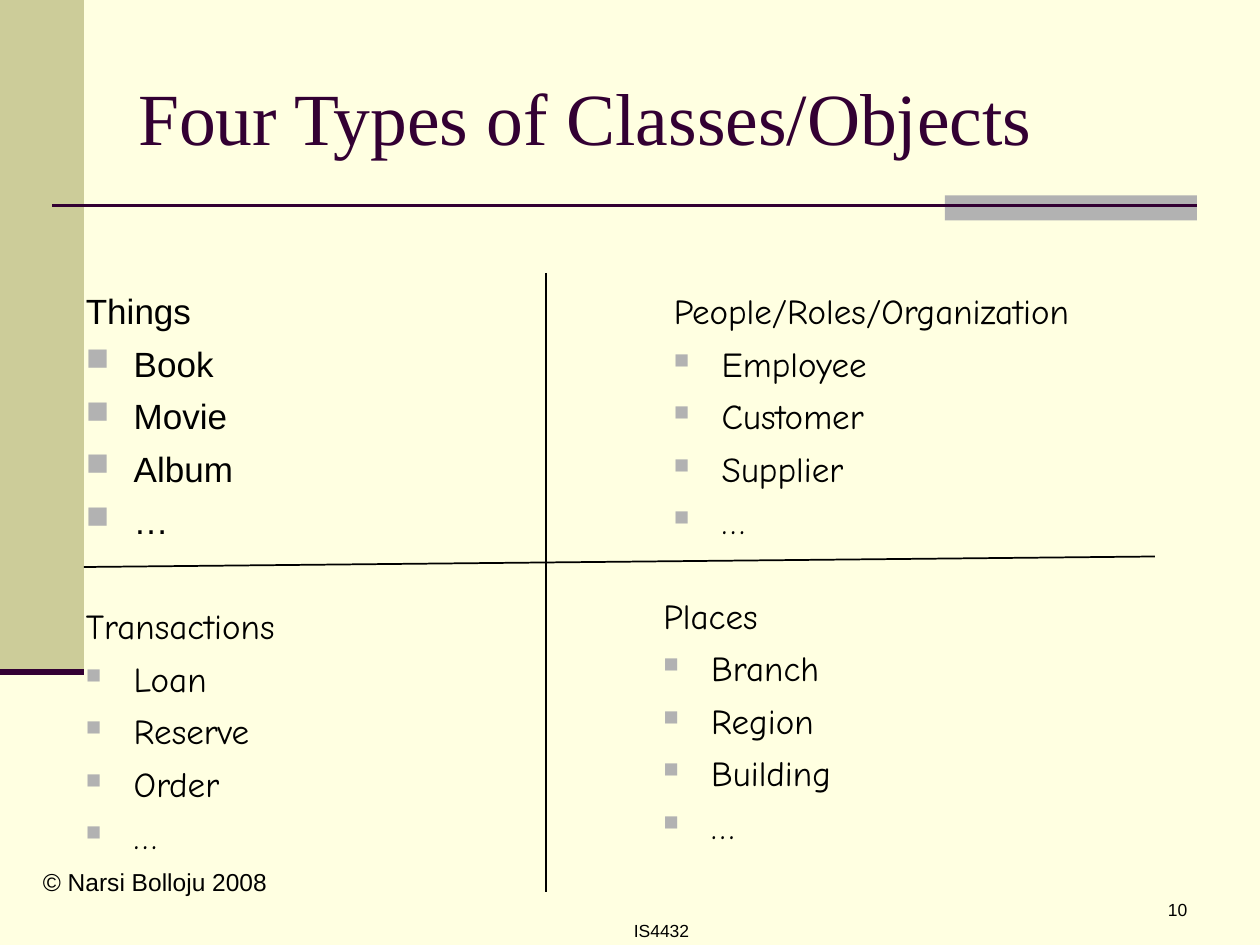
from pptx import Presentation
from pptx.dml.color import RGBColor
from pptx.enum.shapes import MSO_CONNECTOR, MSO_SHAPE
from pptx.enum.text import MSO_ANCHOR, MSO_AUTO_SIZE, PP_ALIGN
from pptx.oxml.xmlchemy import OxmlElement
from pptx.util import Inches, Pt

RECT = MSO_SHAPE.RECTANGLE
STRAIGHT = MSO_CONNECTOR.STRAIGHT
TOP, MIDDLE = MSO_ANCHOR.TOP, MSO_ANCHOR.MIDDLE
LEFT, CENTER, RIGHT = PP_ALIGN.LEFT, PP_ALIGN.CENTER, PP_ALIGN.RIGHT
FIT_SHAPE = MSO_AUTO_SIZE.SHAPE_TO_FIT_TEXT


def color(value):
    return RGBColor.from_string(value)


def add_element(parent, tag, **attributes):
    element = OxmlElement(tag)
    for name, value in attributes.items():
        element.set(name, str(value))
    parent.append(element)
    return element


class Deck:
    """Style and current slide; lengths are cells of a 120 by 90 grid."""

    CELL = Inches(10) / 120
    SANS, SERIF, HAND = "Arial", "Times New Roman", "Comic Neue"
    PAPER, OLIVE, GRAY = "FFFFE1", "CCCC99", "B2B2B2"
    PLUM, BLACK = "330033", "000000"
    INDENT = Inches(0.38)

    def __init__(self):
        self.prs = Presentation()
        self.prs.slide_width = self.cells(120)
        self.prs.slide_height = self.cells(90)

    def cells(self, *counts):
        lengths = [round(count * self.CELL) for count in counts]
        return lengths if len(lengths) > 1 else lengths[0]

    def new_slide(self):
        self.s = self.prs.slides.add_slide(self.prs.slide_layouts[6])
        fill = self.s.background.fill
        fill.solid()
        fill.fore_color.rgb = color(self.PAPER)

    def bar(self, x, y, w, h, fill):
        sp = self.s.shapes.add_shape(RECT, *self.cells(x, y, w, h))
        sp.shadow.inherit = False
        sp.fill.solid()
        sp.fill.fore_color.rgb = color(fill)
        sp.line.fill.background()

    def line(self, x1, y1, x2, y2, stroke, width):
        sp = self.s.shapes.add_connector(STRAIGHT, *self.cells(x1, y1, x2, y2))
        sp.line.color.rgb = color(stroke)
        sp.line.width = Pt(width)
        add_element(sp._element.spPr, "a:effectLst")

    def frame(self, x, y, w, h, anchor=TOP):
        tf = self.s.shapes.add_textbox(*self.cells(x, y, w, h)).text_frame
        tf.word_wrap = True
        tf.vertical_anchor = anchor
        return tf

    def style(self, p, text, size, font, ink):
        p.text = text
        p.font.size = Pt(size)
        p.font.name = font
        p.font.color.rgb = color(ink)

    def text(self, x, y, w, h, text, size, font=SANS, ink=BLACK,
             align=LEFT, anchor=TOP):
        tf = self.frame(x, y, w, h, anchor)
        p = tf.paragraphs[0]
        p.alignment = align
        self.style(p, text, size, font, ink)
        return tf

    def bullet(self, p, percent):
        pPr = p._p.get_or_add_pPr()
        pPr.set("marL", str(self.INDENT))
        pPr.set("indent", str(-self.INDENT))
        tint = add_element(pPr, "a:buClr")
        add_element(tint, "a:srgbClr", val=self.GRAY)
        add_element(pPr, "a:buSzPct", val=percent * 1000)
        add_element(pPr, "a:buChar", char="■")

    def quadrant(self, x, y, heading, examples, font=HAND, bullet_size=60):
        tf = self.frame(x, y, 49, 25)
        self.style(tf.paragraphs[0], heading, 20, font, self.BLACK)
        for example in examples:
            p = tf.add_paragraph()
            self.bullet(p, bullet_size)
            p.space_before = Pt(6)
            self.style(p, example, 20, font, self.BLACK)


def main():
    deck = Deck()
    deck.new_slide()

    deck.bar(0, 0, 8, 64, deck.OLIVE)
    deck.bar(90, 18.6, 24, 2.4, deck.GRAY)
    deck.line(5, 19.6, 114, 19.6, deck.PLUM, 1.5)
    deck.line(0, 64, 8, 64, deck.PLUM, 3.5)

    deck.text(44, 87, 38, 3, "IS4432", 10, align=CENTER)
    deck.text(89.25, 85, 25, 6, "10", 10, align=RIGHT)
    deck.text(12, 3.6, 102, 15, "Four Types of Classes/Objects", 42,
              deck.SERIF, deck.PLUM, anchor=MIDDLE)
    notice = deck.text(2.9, 82, 23.75, 4, "© Narsi Bolloju 2008", 14)
    notice.word_wrap = False
    notice.auto_size = FIT_SHAPE

    deck.quadrant(7, 27, "Things", ["Book", "Movie", "Album", "…"],
                  deck.SANS, 90)
    deck.quadrant(63, 27, "People/Roles/Organization",
                  ["Employee", "Customer", "Supplier", "…"])
    deck.quadrant(7, 57, "Transactions", ["Loan", "Reserve", "Order", "…"])
    deck.quadrant(62, 56, "Places", ["Branch", "Region", "Building", "…"])

    deck.line(52, 26, 52, 85, deck.BLACK, 1)
    deck.line(8, 54, 110, 53, deck.BLACK, 1)

    deck.prs.save("out.pptx")


if __name__ == "__main__":
    main()
